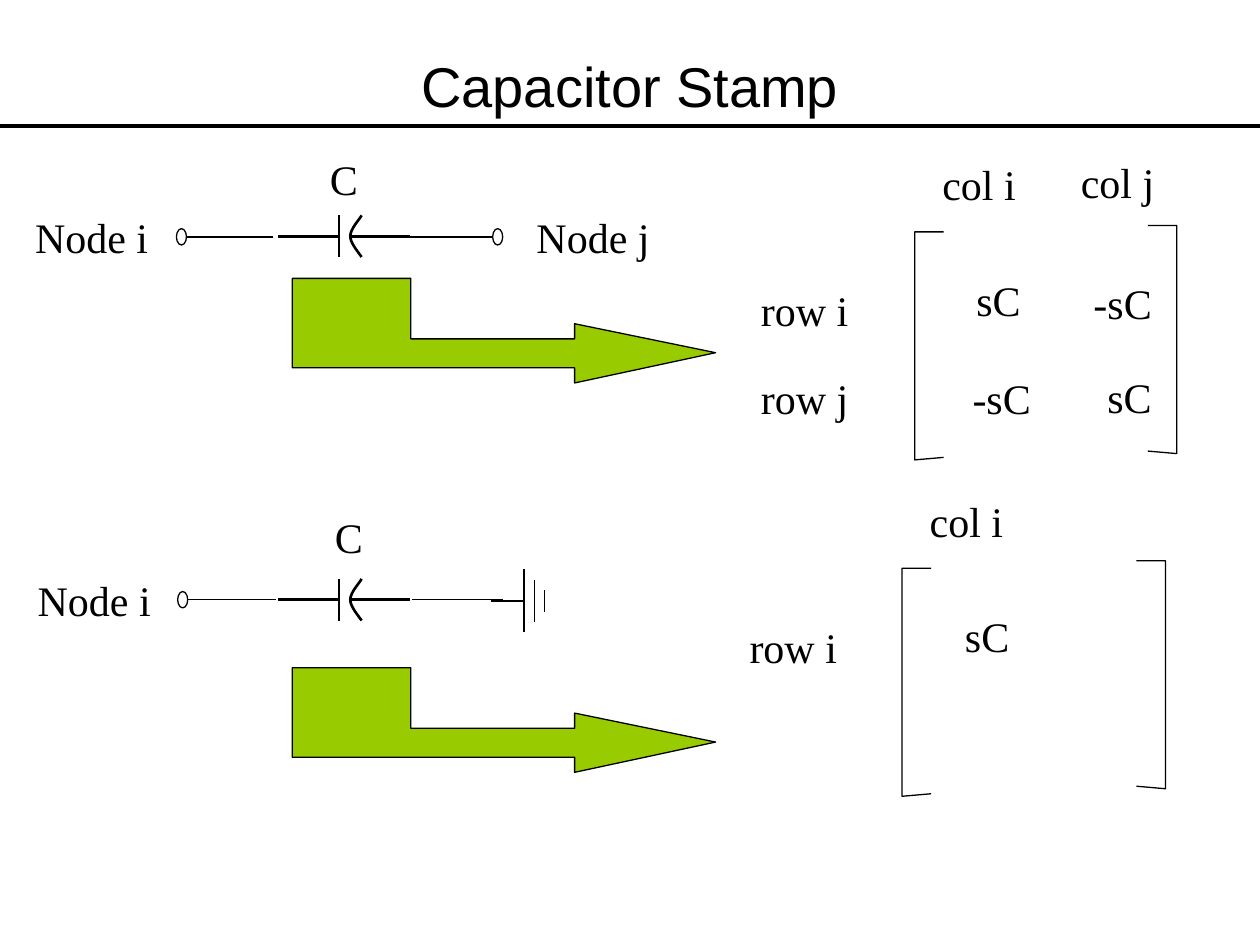
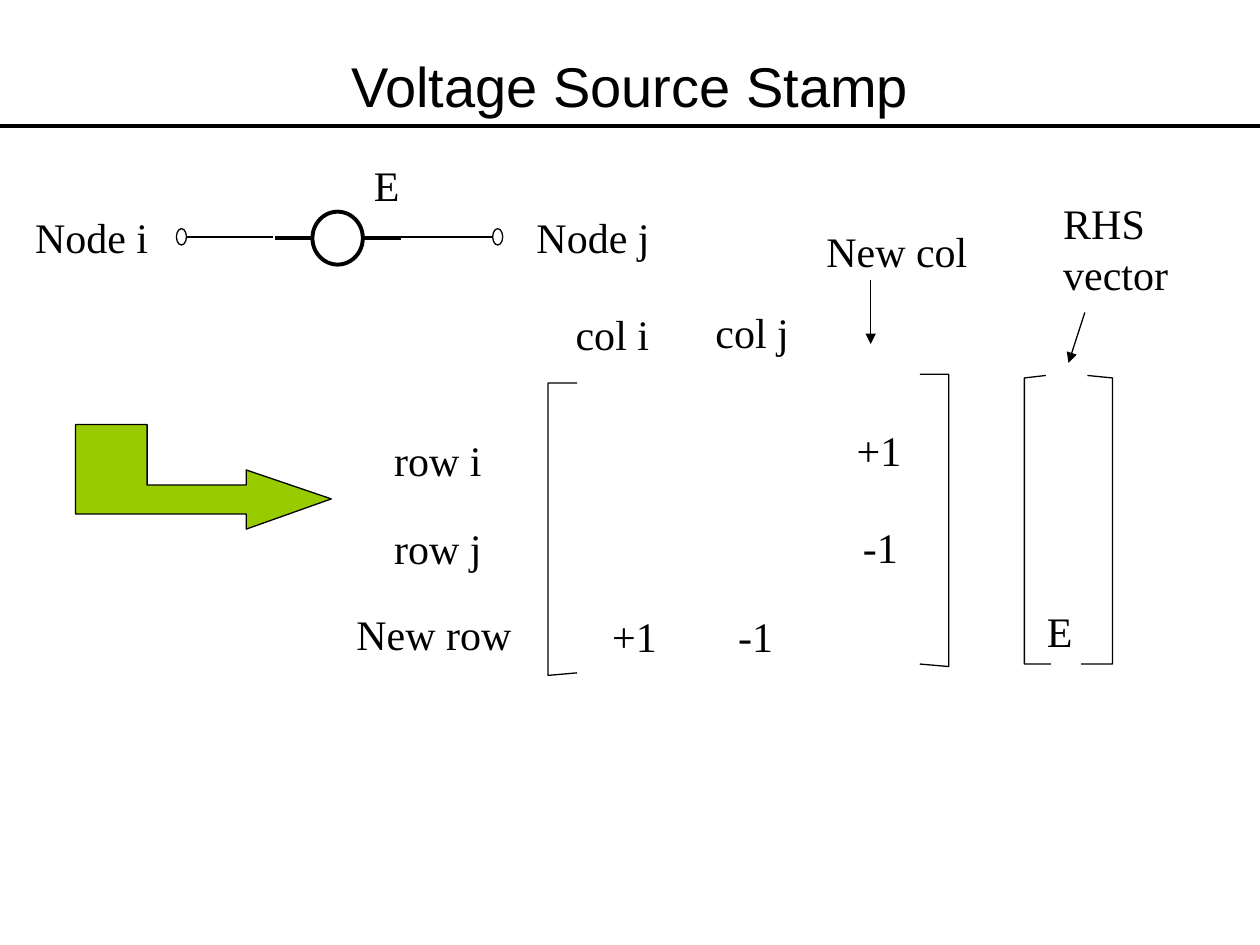
from dataclasses import dataclass
from lxml.etree import SubElement
from pptx import Presentation
from pptx.dml.color import RGBColor as Rgb
from pptx.enum.shapes import MSO_CONNECTOR as Link, MSO_SHAPE as Form
from pptx.enum.text import MSO_ANCHOR as Anchor, MSO_AUTO_SIZE as Fit, PP_ALIGN as Align
from pptx.oxml.ns import qn
from pptx.util import Cm, Pt


@dataclass(frozen=True)
class Theme:
    ink: Rgb = Rgb(0, 0, 0)
    paper: Rgb = Rgb(255, 255, 255)
    green: Rgb = Rgb(0x99, 0xCC, 0)
    head: str = "Arial"
    body: str = "Times New Roman"
    big: float = 32
    mid: float = 24
    thin: float = 0.75
    bold: float = 1.5
    thick: float = 2.25


T = Theme()

# Content: all places are on a page grid of 10 by 7.5 units.
UNIT = 2.54
SPARE = 0.03                            # keeps each label on its own line
WIDE = {"C": 0.42, "E": 0.4, "Node i": 1.1, "Node j": 1.1, "col i": 0.78,
        "col j": 0.78, "row i": 0.89, "row j": 0.89, "sC": 0.55, "-sC": 0.66,
        "+1": 0.55, "-1": 0.48, "New col": 1.32, "New row": 1.43,
        "RHS\nvector": 1.03}
NODES = [("Node i", 0.18, 1.63), ("Node j", 4.16, 1.63)]
WIRES = [((2.17, 1.88), (1.45, 1.88)), ((3.15, 1.88), (3.95, 1.88))]
PINS = [(3.95, 1.88), (1.44, 1.88)]
SLANT = ((0.23, 0), (0.23, -0.02))      # inward run and drop of the two lips
SLIDES = [
    dict(
        title="Capacitor Stamp",
        labels=NODES + [
            ("C", 2.52, 1.17), ("col i", 7.38, 1.21), ("col j", 8.48, 1.19),
            ("row i", 5.94, 2.21), ("sC", 7.65, 2.13), ("-sC", 8.58, 2.15),
            ("row j", 5.94, 2.91), ("-sC", 7.62, 2.91), ("sC", 8.69, 2.9),
            ("Node i", 0.2, 4.51), ("C", 2.56, 4.01), ("col i", 7.28, 3.88),
            ("row i", 5.85, 4.88), ("sC", 7.56, 4.8)],
        wires=WIRES + [((2.19, 4.76), (1.47, 4.76)), ((3.27, 4.76), (3.99, 4.76))],
        pins=PINS + [(1.45, 4.76)],
        caps=[1.875, 4.76],
        ground=(4.16, 4.77),
        bends=[(2.32, 2.21, 3.36), (2.32, 5.3, 3.36)],
        sides=[(7.26, 1.84, 1.81, 1, SLANT), (9.34, 1.79, 1.81, -1, SLANT),
               (7.16, 4.51, 1.81, 1, SLANT), (9.25, 4.45, 1.81, -1, SLANT)]),
    dict(
        title="Voltage Source Stamp",
        labels=NODES + [
            ("E", 2.87, 1.22), ("col i", 4.47, 2.4), ("col j", 5.58, 2.38),
            ("New col", 6.46, 1.74), ("RHS\nvector", 8.34, 1.52),
            ("row i", 3.03, 3.4), ("+1", 6.7, 3.32),
            ("row j", 3.03, 4.1), ("-1", 6.75, 4.09),
            ("New row", 2.73, 4.78), ("+1", 4.76, 4.8), ("-1", 5.76, 4.8),
            ("E", 8.21, 4.76)],
        wires=WIRES,
        pins=PINS,
        source=(2.68, 1.89),
        bends=[(0.6, 3.37, 2.03)],
        hints=[((6.91, 2.22), (6.91, 2.73)), ((8.61, 2.48), (8.48, 2.88))],
        sides=[(4.35, 3.04, 2.32, 1, SLANT), (7.53, 2.97, 2.32, -1, SLANT),
               (8.13, 3, 2.27, 1, ((0.17, -0.02), (0.21, 0))),
               (8.83, 3, 2.27, -1, ((0.2, -0.02), (0.25, 0)))]),
]


def grid(*vals):
    return [Cm(v * UNIT) for v in vals]


def write(frame, text, size=T.mid, font=T.body, color=T.ink, align=Align.LEFT,
          anchor=Anchor.TOP, wrap=False, fit=Fit.SHAPE_TO_FIT_TEXT, pitch=None):
    frame.text = text
    frame.word_wrap, frame.auto_size = wrap, fit
    frame.vertical_anchor = anchor
    for par in frame.paragraphs:
        par.alignment = align
        if pitch:
            par.line_spacing = Pt(pitch)
        for run in par.runs:
            run.font.size, run.font.name = Pt(size), font
            run.font.color.rgb = color


def label(page, text, x, y):
    high = 0.1 + 0.4 * len(text.split("\n"))
    box = page.shapes.add_textbox(*grid(x, y, WIDE[text] + SPARE, high))
    write(box.text_frame, text, pitch=1.2 * T.mid)


def line(page, start, end, width=T.thin, tip=False):
    link = page.shapes.add_connector(Link.STRAIGHT, *grid(*start, *end))
    link.line.color.rgb, link.line.width = T.ink, Pt(width)
    props = link.element.spPr
    if tip:
        SubElement(props.find(qn("a:ln")), qn("a:tailEnd"), type="triangle")
    SubElement(props, qn("a:effectLst"))


def paint(shape, fill=None, width=T.thin):
    shape.shadow.inherit = False
    if fill is None:
        shape.fill.background()
    else:
        shape.fill.solid()
        shape.fill.fore_color.rgb = fill
    shape.line.color.rgb, shape.line.width = T.ink, Pt(width)


def trace(page, points, close=False, **look):
    first, *rest = [grid(*p) for p in points]
    pen = page.shapes.build_freeform(*first)
    pen.add_line_segments(rest, close=close)
    paint(pen.convert_to_shape(), **look)


def oval(page, mid, wide, high, **look):
    x, y = mid
    spot = grid(x - wide / 2, y - high / 2, wide, high)
    paint(page.shapes.add_shape(Form.OVAL, *spot), **look)


def side(page, x, y, high, way, lips):
    """Draw one half of a matrix bracket; way is 1 if it opens to the right."""
    (run, drop), (run2, drop2) = lips
    trace(page, [(x + way * run, y + drop), (x, y), (x, y + high),
                 (x + way * run2, y + high + drop2)])


def bend(page, x, y, wide):
    """Draw the green arrow that turns from down to right."""
    neck, barb = x + 0.28 * wide, x + 0.667 * wide
    trace(page, [(x, y), (neck, y), (neck, y + 0.48), (barb, y + 0.48),
                 (barb, y + 0.36), (x + wide, y + 0.59), (barb, y + 0.83),
                 (barb, y + 0.71), (x, y + 0.71)], close=True, fill=T.green)


def curve(a, b, c, d, steps=8):
    """Points on a cubic Bezier curve, without its start."""
    for t in (i / steps for i in range(1, steps + 1)):
        s = 1 - t
        yield tuple(s**3 * p + 3 * s * s * t * q + 3 * s * t * t * r + t**3 * e
                    for p, q, r, e in zip(a, b, c, d))


def cap(page, y):
    flat, bow, half = 2.69, 2.78, 0.165
    line(page, (2.21, y), (flat, y), T.bold)
    line(page, (flat, y - half), (flat, y + half), T.bold)
    low, mid, top = (bow + 0.09, y + half), (bow, y), (bow + 0.09, y - half)
    plate = [low, *curve(low, (bow + 0.05, y + 0.11), (bow, y + 0.05), mid),
             *curve(mid, (bow, y - 0.06), (bow + 0.08, y - 0.14), top)]
    trace(page, plate, width=T.bold)
    line(page, (bow, y), (3.25, y), T.bold)


def ground(page, x, y):
    line(page, (x, y), (x - 0.26, y))
    for i in range(3):
        at, half = x + 0.08 * i, 0.25 - 0.083 * i
        line(page, (at, y + half), (at, y - half))


def source(page, x, y):
    oval(page, (x, y), 0.4, 0.42, width=T.thick)
    for way in (-1, 1):
        line(page, (x + way * 0.2, y), (x + way * 0.5, y), T.thick)


def build(deck, part):
    page = deck.slides.add_slide(deck.slide_layouts[5])
    title = page.shapes.title
    title.left, title.top, title.width, title.height = grid(0.5, 0.3, 9, 0.75)
    write(title.text_frame, part["title"], size=T.big, font=T.head,
          align=Align.CENTER, anchor=Anchor.MIDDLE, wrap=True, fit=Fit.NONE)
    line(page, (0, 1), (10, 1), T.thick)
    for ends in part["wires"]:
        line(page, *ends)
    for mid in part["pins"]:
        oval(page, mid, 0.08, 0.13, fill=T.paper)
    for spot in part["bends"]:
        bend(page, *spot)
    for spot in part["sides"]:
        side(page, *spot)
    for y in part.get("caps", []):
        cap(page, y)
    for ends in part.get("hints", []):
        line(page, *ends, tip=True)
    if "ground" in part:
        ground(page, *part["ground"])
    if "source" in part:
        source(page, *part["source"])
    for spot in part["labels"]:
        label(page, *spot)


def main():
    deck = Presentation()
    deck.slide_width, deck.slide_height = grid(10, 7.5)
    for part in SLIDES:
        build(deck, part)
    deck.save("out.pptx")


if __name__ == "__main__":
    main()
